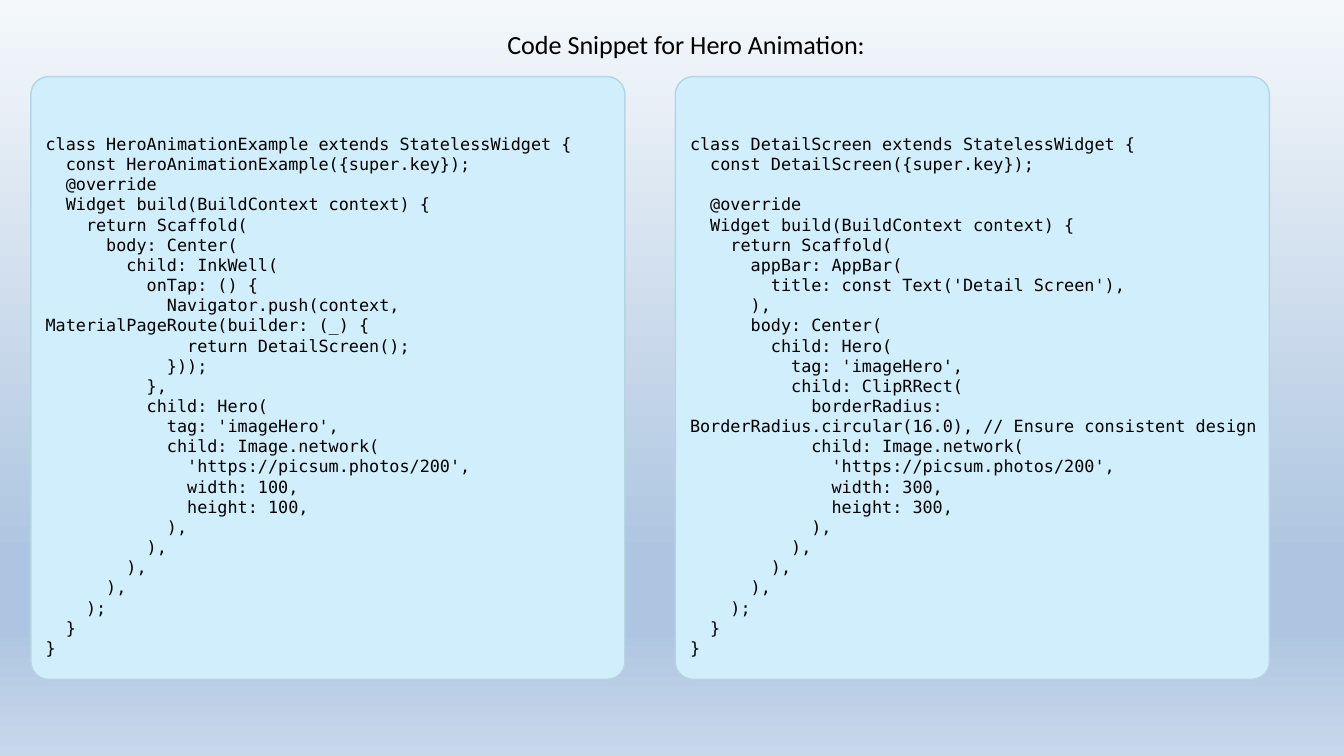
from dataclasses import dataclass

from lxml import etree
from pptx import Presentation
from pptx import util as u
from pptx.dml.color import RGBColor
from pptx.enum import shapes, text
from pptx.oxml import ns


@dataclass(frozen=True)
class Theme:
    ink: str = "000000"
    panel: str = "D0EEFB"
    border: str = "B6D4E1"
    sky: tuple = ((0, "F4F8FB"), (74, "AEC5E1"), (83, "AEC5E1"), (100, "C8D8EB"))
    title: tuple = ("Calibri", 28)
    code: tuple = ("DejaVu Sans Mono", 18)


HERO_EXAMPLE = """\
class HeroAnimationExample extends StatelessWidget {
  const HeroAnimationExample({super.key});
  @override
  Widget build(BuildContext context) {
    return Scaffold(
      body: Center(
        child: InkWell(
          onTap: () {
            Navigator.push(context, MaterialPageRoute(builder: (_) {
              return DetailScreen();
            }));
          },
          child: Hero(
            tag: 'imageHero',
            child: Image.network(
              'https://picsum.photos/200',
              width: 100,
              height: 100,
            ),
          ),
        ),
      ),
    );
  }
}"""

DETAIL_SCREEN = """\
class DetailScreen extends StatelessWidget {
  const DetailScreen({super.key});

  @override
  Widget build(BuildContext context) {
    return Scaffold(
      appBar: AppBar(
        title: const Text('Detail Screen'),
      ),
      body: Center(
        child: Hero(
          tag: 'imageHero',
          child: ClipRRect(
            borderRadius: BorderRadius.circular(16.0), // Ensure consistent design
            child: Image.network(
              'https://picsum.photos/200',
              width: 300,
              height: 300,
            ),
          ),
        ),
      ),
    );
  }
}"""


class Painter:
    """Places elements on a grid of 100 columns by 100 rows."""

    def __init__(self, deck, theme):
        self.theme = theme
        self.column = deck.slide_width / 100
        self.row = deck.slide_height / 100
        self.page = deck.slides.add_slide(deck.slide_layouts[6])

    def place(self, left, top, width, height):
        return (round(left * self.column), round(top * self.row),
                round(width * self.column), round(height * self.row))

    def background(self):
        fill = self.page.background.fill
        fill.gradient()
        gradient = self.page.element.find(".//" + ns.qn("a:gradFill"))
        for child in list(gradient):
            gradient.remove(child)
        stops = etree.SubElement(gradient, ns.qn("a:gsLst"))
        for share, color in self.theme.sky:
            stop = etree.SubElement(stops, ns.qn("a:gs"), pos=str(share * 1000))
            etree.SubElement(stop, ns.qn("a:srgbClr"), val=color)
        etree.SubElement(gradient, ns.qn("a:lin"), ang="5400000", scaled="0")

    def panel(self, *area):
        shape = self.page.shapes.add_shape(
            shapes.MSO_SHAPE.ROUNDED_RECTANGLE, *self.place(*area))
        shape.adjustments[0] = 0.03
        shape.shadow.inherit = False
        shape.fill.solid()
        shape.fill.fore_color.rgb = RGBColor.from_string(self.theme.panel)
        shape.line.color.rgb = RGBColor.from_string(self.theme.border)
        shape.line.width = u.Pt(1.5)

    def text(self, words, style, *area):
        name, size = style
        frame = self.page.shapes.add_textbox(*self.place(*area)).text_frame
        for key, value in {"word_wrap": True,
                           "auto_size": text.MSO_AUTO_SIZE.SHAPE_TO_FIT_TEXT}.items():
            setattr(frame, key, value)
        for index, line in enumerate(words.split("\n")):
            para = frame.add_paragraph() if index else frame.paragraphs[0]
            span = para.add_run()
            span.text = line
            for key, value in {"name": name, "size": u.Pt(size)}.items():
                setattr(span.font, key, value)
            span.font.color.rgb = RGBColor.from_string(self.theme.ink)


def main():
    deck = Presentation()
    deck.slide_width, deck.slide_height = u.Inches(20), u.Inches(11.25)
    theme = Theme()
    painter = Painter(deck, theme)

    # Backdrop and title
    painter.background()
    painter.text("Code Snippet for Hero Animation:", theme.title, 37.25, 3.29, 31.05, 5.07)

    # Two code panels side by side
    for index, (code, height) in enumerate([(HERO_EXAMPLE, 70.93), (DETAIL_SCREEN, 73.6)]):
        left = 2.3 + index * 47.95
        painter.panel(left, 10.13, 44.2, 79.73)
        painter.text(code, theme.code, left + 0.6, 17.24, 43.15, height)

    deck.save("out.pptx")


if __name__ == "__main__":
    main()
